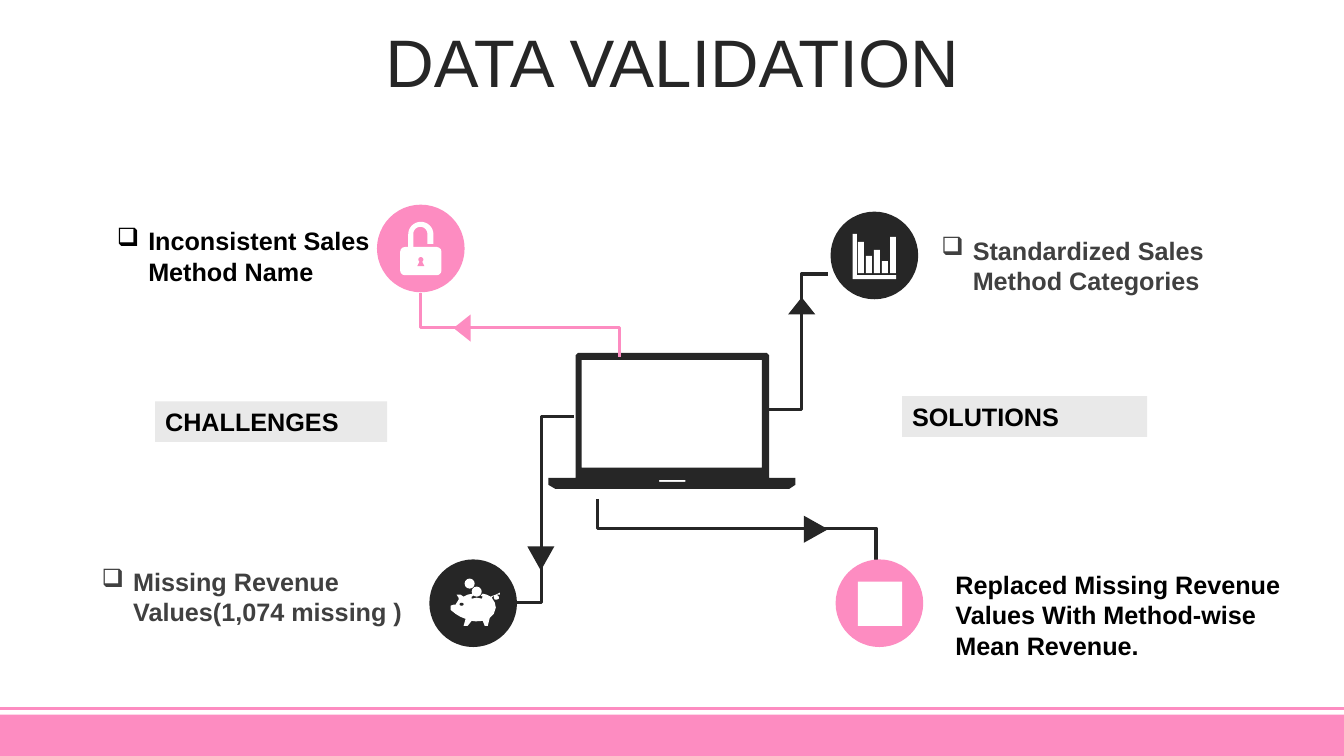
"""Build the data validation slide with its laptop hub and four icons."""
from dataclasses import dataclass
from math import cos, pi, sin

from lxml.etree import SubElement
from pptx import Presentation
from pptx.dml.color import RGBColor
from pptx.enum.shapes import MSO_CONNECTOR as Link, MSO_SHAPE as Kind
from pptx.enum.text import MSO_ANCHOR as Anchor, MSO_AUTO_SIZE as Fit, PP_ALIGN as Align
from pptx.oxml.ns import qn
from pptx.slide import Slide
from pptx.util import Pt

PINK = RGBColor(0xFD, 0x8C, 0xC1)
DARK = RGBColor(0x26, 0x26, 0x26)
GRAY = RGBColor(0x40, 0x40, 0x40)
PALE = RGBColor(0xE9, 0xE9, 0xE9)
BLACK = RGBColor(0, 0, 0)
WHITE = RGBColor(0xFF, 0xFF, 0xFF)
DISC = 62.6


@dataclass
class Painter:
    page: Slide
    left: float = 0
    top: float = 0
    unit: float = 1
    font: str = "Arial"
    size: float = 18
    stroke: float = 2.25

    def spot(self, x, y):
        return Pt(self.left + x * self.unit), Pt(self.top + y * self.unit)

    def shape(self, kind, x, y, width, height, color, rotation=0):
        item = self.page.shapes.add_shape(
            kind, *self.spot(x, y), Pt(width * self.unit), Pt(height * self.unit))
        item.rotation = rotation
        return self.solid(item, color)

    def solid(self, item, color):
        item.shadow.inherit = False
        item.fill.solid()
        item.fill.fore_color.rgb = color
        item.line.fill.background()
        return item

    def outline(self, contours, closed=True):
        first, *others = contours
        builder = self.page.shapes.build_freeform(*self.spot(*first[0]), scale=1.0)
        builder.add_line_segments([self.spot(*point) for point in first[1:]], close=closed)
        for contour in others:
            builder.move_to(*self.spot(*contour[0]))
            builder.add_line_segments([self.spot(*point) for point in contour[1:]], close=closed)
        return builder.convert_to_shape()

    def area(self, color, *contours):
        return self.solid(self.outline(contours), color)

    def bend(self, color, points):
        item = self.outline([points], closed=False)
        item.shadow.inherit = False
        item.fill.background()
        item.line.color.rgb = color
        item.line.width = Pt(self.stroke)

    def rule(self, y, width, color, weight):
        item = self.page.shapes.add_connector(
            Link.STRAIGHT, *self.spot(0, y), *self.spot(width, y))
        item.line.color.rgb = color
        item.line.width = Pt(weight)
        SubElement(item._element.spPr, qn("a:effectLst"))

    def fill_frame(self, frame, words, color, size=None, bold=True, align=Align.LEFT):
        frame.word_wrap = True
        para = frame.paragraphs[0]
        para.alignment = align
        span = para.add_run()
        span.text = words
        span.font.name = self.font
        span.font.size = Pt(size or self.size)
        span.font.bold = bold
        span.font.color.rgb = color
        return para

    def text(self, x, y, width, height, words, color, bullet=False):
        box = self.page.shapes.add_textbox(*self.spot(x, y), Pt(width), Pt(height))
        para = self.fill_frame(box.text_frame, words, color)
        box.text_frame.auto_size = Fit.SHAPE_TO_FIT_TEXT
        if bullet:
            props = para._p.get_or_add_pPr()
            props.set("marL", str(Pt(22.5)))
            props.set("indent", str(-Pt(22.5)))
            SubElement(props, qn("a:buChar")).set("char", "❑")

    def title(self, x, y, width, height, words):
        box = self.page.shapes.add_textbox(*self.spot(x, y), Pt(width), Pt(height))
        box.text_frame.vertical_anchor = Anchor.MIDDLE
        para = self.fill_frame(box.text_frame, words, DARK, 48, False, Align.CENTER)
        para.line_spacing = 0.9
        para.space_before = Pt(10)

    def label(self, x, y, width, height, words):
        item = self.shape(Kind.RECTANGLE, x, y, width, height, PALE)
        item.text_frame.vertical_anchor = Anchor.TOP
        self.fill_frame(item.text_frame, words, BLACK)

    def disc(self, x, y, color):
        self.shape(Kind.OVAL, x, y, DISC, DISC, color)
        return Painter(self.page, x, y, DISC / 87)


def arc(x, y, radius, start, end, steps=16):
    angles = [start + (end - start) * step / steps for step in range(steps + 1)]
    return [(x + radius * cos(angle), y - radius * sin(angle)) for angle in angles]


def box_points(left, top, right, bottom):
    return [(left, top), (left, bottom), (right, bottom), (right, top)]


def draw_laptop(art):
    shell = [(412.9, 252), (547.6, 252), (549.4, 253.8), (549.4, 341.3), (568.1, 341.3),
             (568.1, 346.3), (563.8, 349.2), (396.7, 349.2), (391.7, 346.3),
             (391.7, 341.3), (411.1, 341.3), (411.1, 253.8)]
    art.area(DARK, shell, box_points(415.4, 257, 544.3, 334.1),
             box_points(470.9, 342.7, 489.6, 344.2))


def draw_lock(icon):
    shackle = [(31, 44), *arc(43.5, 29.5, 12.5, pi, 0), (56, 39), (50, 39),
               *arc(43, 29, 7, 0, pi), (36, 44)]
    icon.area(WHITE, shackle)
    icon.shape(Kind.ROUNDED_RECTANGLE, 23, 42, 41, 28, WHITE)
    icon.shape(Kind.OVAL, 41, 52, 5, 5, PINK)
    icon.shape(Kind.ISOSCELES_TRIANGLE, 40, 54, 7, 7, PINK)


def draw_bars(icon):
    icon.area(WHITE, [(22, 22), (26, 22), (26, 63), (65, 63), (65, 67), (22, 67)])
    for column, top in enumerate((30, 44, 38, 49, 25)):
        icon.shape(Kind.RECTANGLE, 27 + 8 * column, top, 6, 61 - top, WHITE)


def draw_pig(icon):
    icon.area(WHITE, [
        (70, 33), (70, 35), (67, 35), (69, 37), (69, 39), (67, 40), (65, 40), (64, 38),
        (64, 36), (62, 38), (65, 43), (66, 48), (64, 54), (60, 58), (58, 66), (55, 66),
        (53, 61), (46, 61.5), (42, 61), (38, 66), (34, 66), (36, 59), (31, 57), (26, 54),
        (21, 50), (21, 46), (24, 45), (26, 45), (29, 40), (29, 38), (27, 35), (31, 35),
        (34, 37), (38, 35), (43, 34), (44, 36), (42, 37), (42, 39), (47, 38), (52, 39),
        (53, 37), (51, 36), (53, 34), (57, 35), (61, 37), (63, 36), (66, 35), (68, 34)])
    icon.shape(Kind.OVAL, 30, 43, 4, 3, DARK)
    for x, y in ((42, 27), (35, 19)):
        icon.shape(Kind.OVAL, x, y, 10, 10, WHITE)


def main():
    deck = Presentation()
    deck.slide_width, deck.slide_height = Pt(960), Pt(540)
    page = deck.slides.add_slide(deck.slide_layouts[6])
    art = Painter(page)

    art.rule(506.2, 960, PINK, 2)
    art.shape(Kind.RECTANGLE, 0, 510.5, 960, 29.5, PINK)
    art.title(24.5, 18.7, 911.5, 56.9, "DATA VALIDATION")

    draw_laptop(art)
    routes = [
        (DARK, (409.7, 297.4), (386.6, 297.4), (386.6, 430.6), (367.2, 430.6)),
        (DARK, (549.4, 292.3), (572.4, 292.3), (572.4, 195.8), (591.8, 195.8)),
        (DARK, (427, 356.4), (427, 377.3), (625.7, 377.3), (625.7, 401.8)),
        (PINK, (442.8, 254.9), (442.8, 234), (300.2, 234), (300.2, 209.5)),
    ]
    for color, *points in routes:
        art.bend(color, points)
    for x, y, height, color, rotation in (
            (376.6, 390.2, 17.3, DARK, 180), (563, 212.4, 12.2, DARK, 0),
            (573.1, 369.4, 17.3, DARK, 90), (320.4, 228.2, 12.2, PINK, 270)):
        art.shape(Kind.ISOSCELES_TRIANGLE, x, y, 19.4, height, color, rotation)

    draw_lock(art.disc(269.3, 146.2, PINK))
    draw_bars(art.disc(593.3, 151.2, DARK))
    draw_pig(art.disc(306.7, 399.6, DARK))
    art.disc(596.9, 399.6, PINK).shape(Kind.RECTANGLE, 22, 22, 44, 44, WHITE)

    art.text(76.3, 157.7, 200.9, 50.9, "Inconsistent Sales Method Name", BLACK, True)
    art.text(665.3, 164.2, 252, 50.9, "Standardized Sales Method Categories", GRAY, True)
    art.text(65.5, 401, 231.1, 50.9, "Missing Revenue Values(1,074 missing )", GRAY, True)
    art.text(675.4, 403.2, 252, 72.7,
             "Replaced Missing Revenue Values With Method-wise Mean Revenue.", BLACK)
    art.label(110.9, 286.6, 165.6, 29.1, "CHALLENGES")
    art.label(644.4, 283, 175, 29.1, "SOLUTIONS")
    deck.save("out.pptx")


if __name__ == "__main__":
    main()
